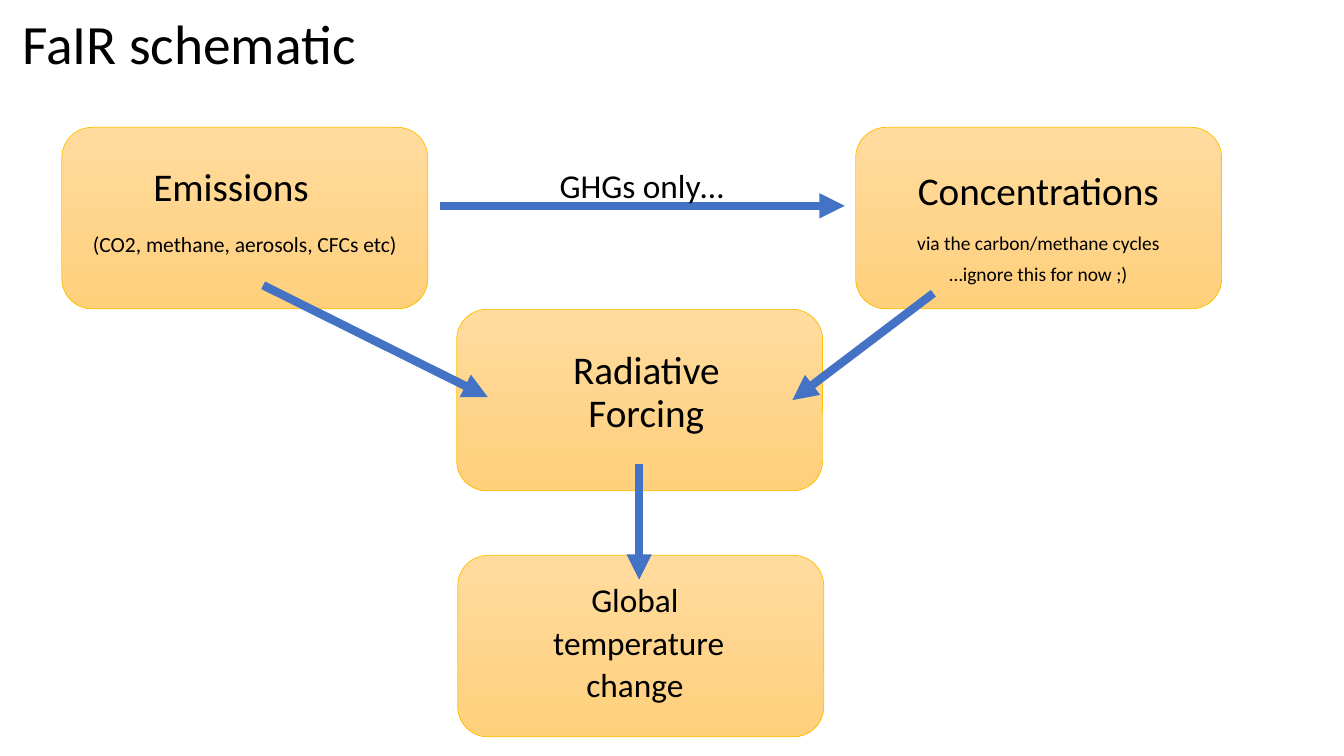
from pptx import Presentation
from pptx.dml.color import RGBColor as RGB
from pptx.enum.shapes import MSO_CONNECTOR as Link, MSO_SHAPE as Form
from pptx.enum.text import MSO_ANCHOR as Anchor, MSO_AUTO_SIZE as Fit, PP_ALIGN as Align
from pptx.oxml.ns import qn
from pptx.util import Pt
from lxml.etree import SubElement

THEME = {
    "font": "Calibri", "ink": RGB(0, 0, 0),
    "top": RGB.from_string("FFDB9E"), "base": RGB.from_string("FFD07C"),
    "edge": RGB.from_string("FFC000"), "arrow": RGB.from_string("4472C4"),
    "title": 39.6, "head": 28, "text": 23.8, "list": 15.4, "note": 13.9,
}
WIDE, HIGH = 261.4, 129.6


def write(frame, lines, size, gap, lead):
    frame.word_wrap = True
    frame.auto_size = Fit.NONE
    for i, line in enumerate(lines):
        para = frame.paragraphs[0] if i == 0 else frame.add_paragraph()
        para.alignment = Align.CENTER
        para.line_spacing = gap
        para.space_before = Pt(lead)
        run = para.add_run()
        run.text = line
        run.font.name = THEME["font"]
        run.font.size = Pt(THEME[size])
        run.font.color.rgb = THEME["ink"]


def label(left, top, width, height, lines, size, gap):
    box = slide.shapes.add_textbox(Pt(left), Pt(top), Pt(width), Pt(height))
    write(box.text_frame, lines, size, gap, 10)


deck = Presentation()
deck.slide_width, deck.slide_height = Pt(960), Pt(540)
slide = deck.slides.add_slide(deck.slide_layouts[5])

# Title
title = slide.shapes.title
title.left, title.top, title.width, title.height = Pt(0), Pt(0), Pt(270), Pt(66)
title.text_frame.vertical_anchor = Anchor.MIDDLE
write(title.text_frame, ["FaIR schematic"], "title", 0.9, 0)

# Stage boxes
for left, top in [(44.2, 91), (611.2, 91), (326.2, 221), (327, 396.7)]:
    stage = slide.shapes.add_shape(
        Form.ROUNDED_RECTANGLE, Pt(left), Pt(top), Pt(WIDE), Pt(HIGH))
    stage.shadow.inherit = False
    stage.fill.gradient()
    stage.fill.gradient_angle = 270
    for stop, tone in zip(stage.fill.gradient_stops, ("top", "base")):
        stop.color.rgb = THEME[tone]
    stage.line.color.rgb = THEME["edge"]
    stage.line.width = Pt(0.5)

# Stage names and details
label(98, 115.9, 134, 38, ["Emissions"], "head", 0.9)
label(643, 118.8, 197.3, 56, ["Concentrations"], "head", 0.9)
label(381, 247, 161.3, 84, ["Radiative Forcing"], "head", 0.9)
label(365, 418.3, 177, 96, ["Global", " temperature", "change"], "text", 0.7)
label(44.2, 166.3, WIDE, 29.5, ["(CO2, methane, aerosols, CFCs etc)"], "list", 0.7)
label(611.2, 166.3, WIDE, 44,
      ["via the carbon/methane cycles", "…ignore this for now ;)"], "note", 0.7)

# Arrows between stages
for ends in [(314.6, 147, 603.4, 147), (188, 203.8, 348.5, 283.7),
             (666.7, 209.5, 566, 285.8), (456.5, 331.2, 456.5, 414)]:
    arrow = slide.shapes.add_connector(Link.STRAIGHT, *map(Pt, ends))
    arrow.line.color.rgb = THEME["arrow"]
    arrow.line.width = Pt(6)
    SubElement(arrow.line._get_or_add_ln(), qn("a:tailEnd"), type="triangle")
    SubElement(arrow._element.spPr, qn("a:effectLst"))

# Label over the top arrow
label(327.6, 122.4, WIDE, 29.5, ["GHGs only…"], "text", 0.7)

deck.save("out.pptx")
